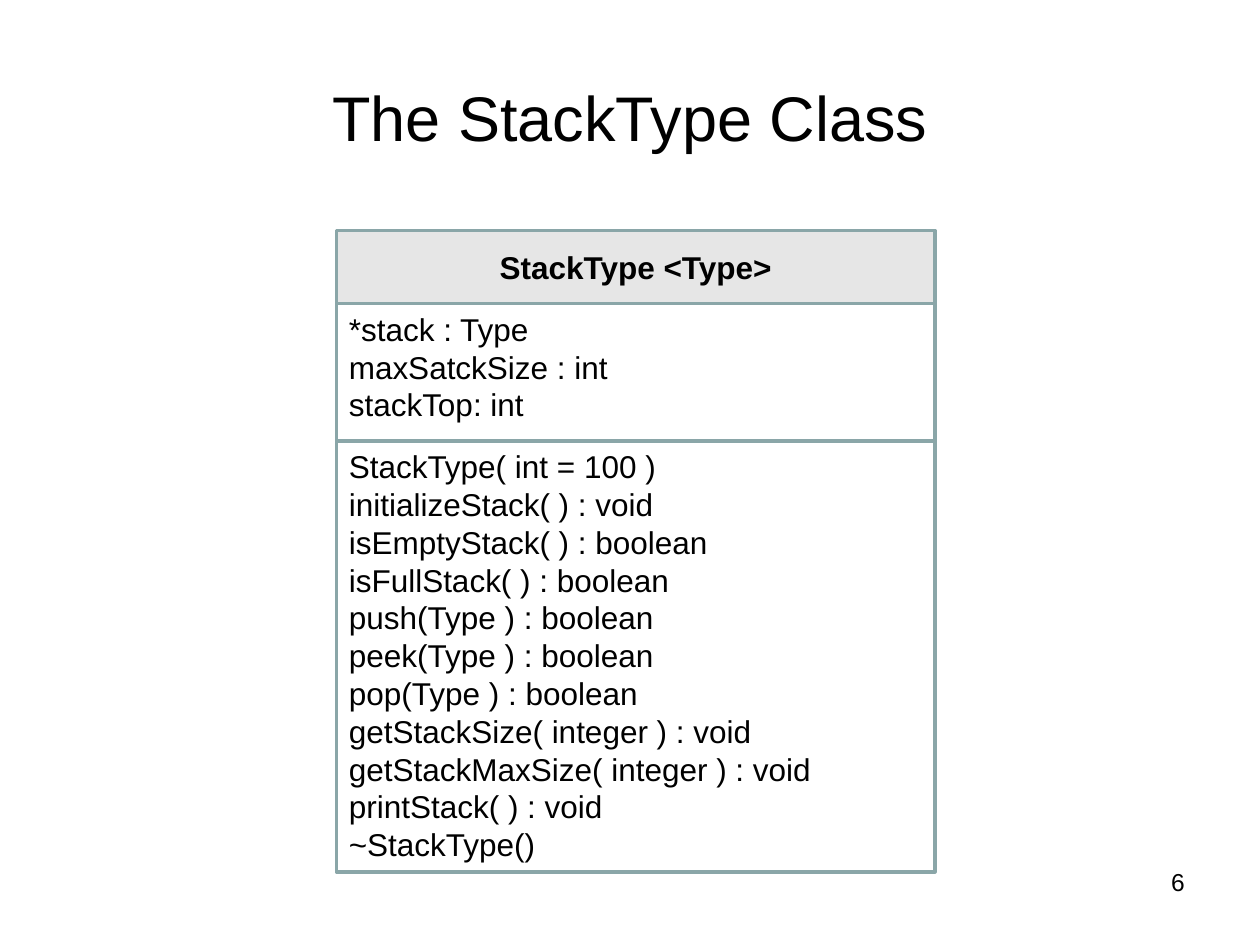
from pptx import Presentation
from pptx.dml.color import RGBColor as RGB
from pptx.enum.shapes import MSO_SHAPE as Shape
from pptx.enum.text import MSO_ANCHOR as Anchor, PP_ALIGN as Align
from pptx.util import Inches, Pt

WIDE, HIGH = 10, 7.5
HUES = {"ink": "000000", "edge": "8AA6A8", "head": "E6E6E6"}
TITLE = "The StackType Class"
PAGE = "6"
LEFT, TOP, SPAN = 2.67, 1.83, 4.75
PARTS = [
    {"high": 0.58, "fill": "head", "bold": True, "align": Align.CENTER,
     "anchor": Anchor.MIDDLE, "lines": ["StackType <Type>"]},
    {"high": 1.09, "lines": ["*stack : Type", "maxSatckSize : int", "stackTop: int"]},
    {"high": 3.42, "lines": [
        "StackType( int = 100 )", "initializeStack( ) : void",
        "isEmptyStack( ) : boolean", "isFullStack( ) : boolean",
        "push(Type ) : boolean", "peek(Type ) : boolean", "pop(Type ) : boolean",
        "getStackSize( integer ) : void", "getStackMaxSize( integer ) : void",
        "printStack( ) : void", "~StackType()"]},
]


def color(key):
    """Return the named colour."""
    return RGB.from_string(HUES[key])


def write(shape, lines, size, align=Align.LEFT, anchor=Anchor.TOP, bold=False):
    """Fill a shape with one paragraph per line."""
    frame = shape.text_frame
    frame.text = "\n".join(lines)
    frame.word_wrap = True
    frame.vertical_anchor = anchor
    for para in frame.paragraphs:
        para.alignment = align
        font = para.runs[0].font
        for key, val in {"name": "Arial", "size": Pt(size), "bold": bold}.items():
            setattr(font, key, val)
        font.color.rgb = color("ink")


deck = Presentation()
deck.slide_width, deck.slide_height = Inches(WIDE), Inches(HIGH)
slide = deck.slides.add_slide(deck.slide_layouts[5])

title = slide.shapes.title
place = {"left": 0.05 * WIDE, "top": 0.04 * HIGH, "width": 0.9 * WIDE, "height": 1.25}
for key, val in place.items():
    setattr(title, key, Inches(val))
write(title, [TITLE], 36, Align.CENTER, Anchor.MIDDLE)

page = slide.shapes.add_textbox(*map(Inches, (8.58, 6.83, 0.92, 0.52)))
write(page, [PAGE], 14, Align.RIGHT)

top = TOP
for part in PARTS:
    box = slide.shapes.add_shape(
        Shape.RECTANGLE, *map(Inches, (LEFT, top, SPAN, part["high"])))
    box.shadow.inherit = False
    box.line.color.rgb = color("edge")
    box.line.width = Pt(2)
    if "fill" in part:
        box.fill.solid()
        box.fill.fore_color.rgb = color(part["fill"])
    else:
        box.fill.background()
    style = {key: part[key] for key in ("align", "anchor", "bold") if key in part}
    write(box, part["lines"], 18, **style)
    top += part["high"]

deck.save("out.pptx")
